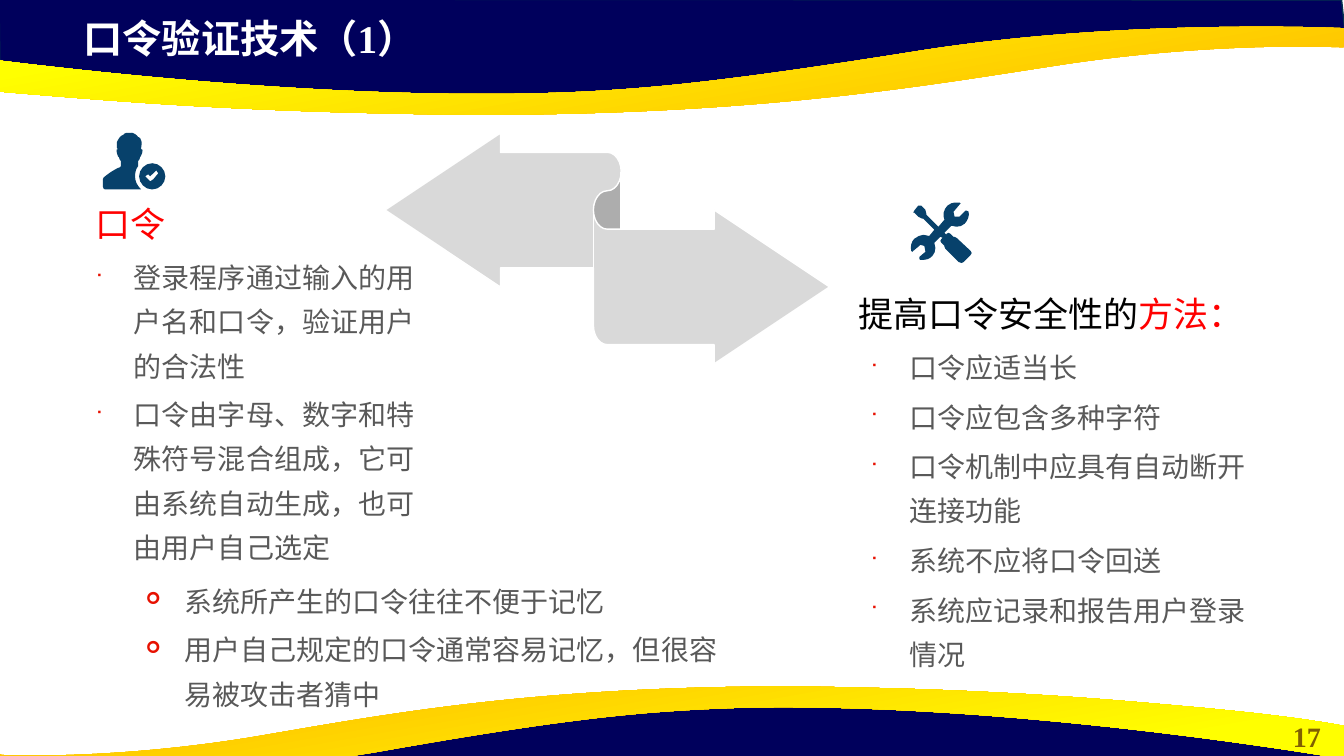
from lxml.etree import SubElement
from pptx import Presentation
from pptx.dml.color import RGBColor
from pptx.enum.shapes import MSO_SHAPE
from pptx.enum.text import MSO_ANCHOR, MSO_AUTO_SIZE, PP_ALIGN
from pptx.oxml.ns import qn
from pptx.util import Pt

PX = 9144
FONT = "Times New Roman"
NAVY = RGBColor(0x00, 0x00, 0x5C)
NAVY_EDGE = RGBColor(0x05, 0x30, 0x4F)
ORANGE = RGBColor(0xFF, 0xC0, 0x00)
YELLOW = RGBColor(0xFF, 0xFF, 0x00)
OLIVE = RGBColor(0x80, 0x60, 0x00)
ICON_BLUE = RGBColor(0x07, 0x41, 0x6B)
RIBBON_GREY = RGBColor(0xD9, 0xD9, 0xD9)
TEXT_GREY = RGBColor(0x59, 0x59, 0x59)
RED = RGBColor(0xFF, 0x00, 0x00)
BULLET_RED = RGBColor(0xE7, 0x11, 0x01)
WHITE = RGBColor(0xFF, 0xFF, 0xFF)
BLACK = RGBColor(0x00, 0x00, 0x00)

TOP_BAND = "M -1 -1 L 0 70 293 102 559 100 795 88 1016 50 1238 33 1335 38 1331 0"
BOTTOM_BAND = "M 1333 794 L 1332 724 1040 691 773 693 538 706 317 743 95 760 -3 756 1 793"
TOP_WAVE = """M 483 114 C 443 114 401 113 356 112 206 108 110 100 36 94 -88 84 -130 75 -133 75
    L -133 42 C -133 42 218 98 517 93 626 91 708 83 915 50 1121 18 1333 28 1333 28
    L 1333 47 1330 47 C 1305 46 1195 43 1055 64 918 85 762 113 483 114"""
BOTTOM_WAVE = """M 772 681 C 809 681 847 682 888 683 1025 687 1112 695 1179 701 1292 711 1330 720 1333 720
    L 1333 753 C 1333 753 1014 697 742 702 642 705 567 712 380 745 192 778 -1 768 -1 768
    L -1 748 2 749 C 25 750 125 752 252 731 376 710 519 682 772 681"""
USER_ICON = """M 155 169 L 149 175 147 173 144 175 147 178 149 180 152 178 157 172
    M 151 162 C 158 162 164 168 164 175 164 182 158 188 151 188 144 188 138 182 138 175
    138 168 144 162 151 162
    M 128 132 C 130 131 132 132 134 133 136 134 137 136 137 136 137 136 142 136 140 147
    L 140 148 C 141 148 142 148 141 152 140 155 139 156 139 156 139 157 138 159 137 160
    L 137 165 C 135 167 134 171 134 175 134 180 136 184 140 188
    L 104 188 C 103 188 102 186 102 185 L 102 180 C 102 178 102 177 103 176
    110 170 118 166 119 166 L 120 165 120 160 C 119 159 118 157 118 156
    117 156 117 155 116 152 115 148 116 148 117 148 L 116 147 C 116 145 116 143 116 141
    117 139 118 137 119 136 120 135 121 134 122 134 123 133 124 132 125 132 126 132 127 132 128 132"""
TOOLS_ICON = """M 963 249 L 949 236 947 235 946 235 943 232 941 231 939 232 939 233 937 231 944 224
    949 225 C 952 225 955 224 957 222 960 219 962 214 961 210
    L 959 209 958 209 952 215 947 215 946 210 947 209 952 203 953 202 952 201 949 201
    C 945 201 942 202 940 204 936 208 935 214 937 218
    L 931 225 919 213 919 212 918 208 914 204 913 204 911 204 907 209 906 211 907 211 911 215
    915 217 916 217 927 228 922 234 921 234 916 233 C 913 233 910 235 907 237 904 240 903 245 904 249
    L 905 250 906 249 912 244 913 243 917 244 918 249 918 250 912 255 912 257 913 258 916 258
    C 919 258 922 257 925 254 927 252 928 249 928 246
    L 927 241 928 240 933 235 935 236 934 237 933 239 934 241 937 244 937 245 938 247
    951 260 954 261 956 260 963 253 964 251"""


def read_outline(path):
    """Return the contours of a path in px and the command of each later point."""
    contours, commands, command, numbers = [], [], "", []
    for token in path.split():
        if token in "MLC":
            command = token
            continue
        numbers.append(int(token) * PX)
        if len(numbers) == 2:
            if command == "M":
                contours.append([])
            else:
                commands.append(command)
            contours[-1].append(tuple(numbers))
            numbers = []
    return contours, commands


def bend(shape, commands):
    """Join each three points of a curve command into one cubic segment."""
    segments = list(shape.element.iter(qn("a:lnTo")))
    curved = [segment for segment, command in zip(segments, commands) if command == "C"]
    for first, second, third in zip(curved[::3], curved[1::3], curved[2::3]):
        curve = first.makeelement(qn("a:cubicBezTo"))
        first.addprevious(curve)
        for segment in (first, second, third):
            curve.append(segment[0])
            segment.getparent().remove(segment)


class SlideBuilder:
    """Holds the style and the current slide and draws its elements."""

    def __init__(self, deck):
        self.page = deck.slides.add_slide(deck.slide_layouts[5])

    def outline(self, path, color=None, edge=None, angle=0):
        """Draw a closed outline with a plain fill or a yellow gradient."""
        contours, commands = read_outline(path)
        builder = self.page.shapes.build_freeform(*contours[0][0], scale=1.0)
        for index, points in enumerate(contours):
            if index:
                builder.move_to(*points[0])
            builder.add_line_segments(points[1:], close=True)
        shape = builder.convert_to_shape()
        bend(shape, commands)
        self.paint(shape, color, edge, angle)

    def paint(self, shape, color, edge, angle=0):
        """Set the fill and line of a shape and drop its shadow."""
        shape.shadow.inherit = False
        if color is None:
            shape.fill.gradient()
            shape.fill.gradient_angle = angle
            stops = zip(shape.fill.gradient_stops, (0.11, 0.78), (ORANGE, YELLOW))
            for stop, position, stop_color in stops:
                stop.position = position
                stop.color.rgb = stop_color
        else:
            shape.fill.solid()
            shape.fill.fore_color.rgb = color
        if edge is None:
            shape.line.fill.background()
        else:
            shape.line.color.rgb = edge
            shape.line.width = Pt(1)

    def ribbon(self, left, top, width, height):
        """Draw the two-way ribbon arrow."""
        shape = self.page.shapes.add_shape(
            MSO_SHAPE.LEFT_RIGHT_RIBBON, left * PX, top * PX, width * PX, height * PX)
        for index, value in enumerate((0.5, 0.5, 0.333)):
            shape.adjustments[index] = value
        self.paint(shape, RIBBON_GREY, WHITE)

    def span(self, para, text, size, color, bold=False):
        """Add one formatted run to a paragraph."""
        run = para.add_run()
        run.text = text
        font = run.font
        font.name, font.size, font.bold, font.color.rgb = FONT, Pt(size), bold, color

    def title(self, text, left, top, width, height):
        """Place and format the title above what is drawn so far."""
        box = self.page.shapes.title
        box.left, box.top, box.width, box.height = (n * PX for n in (left, top, width, height))
        frame = box.text_frame
        frame.auto_size = MSO_AUTO_SIZE.NONE
        frame.vertical_anchor = MSO_ANCHOR.MIDDLE
        frame.paragraphs[0].alignment = PP_ALIGN.LEFT
        self.span(frame.paragraphs[0], text, 28, WHITE, True)
        box.element.getparent().append(box.element)

    def text_box(self, left, top, width, height):
        """Add a wrapping text box and return its frame."""
        box = self.page.shapes.add_textbox(left * PX, top * PX, width * PX, height * PX)
        box.text_frame.word_wrap = True
        return box.text_frame

    def heading(self, frame, spans, spacing):
        """Write a heading in coloured spans as the first paragraph."""
        para = frame.paragraphs[0]
        para.line_spacing = spacing
        for text, color in spans:
            self.span(para, text, 25, color)

    def bullets(self, frame, items, mark, level, indent, before):
        """Write grey items with a small red bullet mark."""
        for item in items:
            first = not frame.text
            para = frame.paragraphs[0] if first else frame.add_paragraph()
            para.level = level
            properties = para._p.get_or_add_pPr()
            properties.set("marL", str(indent * PX))
            properties.set("indent", str(-38 * PX))
            color = SubElement(properties, qn("a:buClr"))
            SubElement(color, qn("a:srgbClr"), val=str(BULLET_RED))
            SubElement(properties, qn("a:buSzPct"), val="60000")
            SubElement(properties, qn("a:buFont"), typeface="Wingdings")
            SubElement(properties, qn("a:buChar"), char=mark)
            para.line_spacing = 1.32
            para.space_before = Pt(0 if first else before)
            self.span(para, item, 20, TEXT_GREY)


def main():
    """Build the slide on password verification."""
    deck = Presentation()
    deck.slide_width, deck.slide_height = 4000 * PX // 3, 750 * PX
    slide = SlideBuilder(deck)

    slide.outline(TOP_BAND, NAVY, NAVY_EDGE)
    slide.outline(TOP_WAVE, angle=100)
    slide.outline(BOTTOM_BAND, NAVY, NAVY_EDGE)
    slide.outline(BOTTOM_WAVE, angle=280)
    number = slide.text_box(1260, 709, 73, 44).paragraphs[0]
    number.alignment = PP_ALIGN.CENTER
    slide.span(number, "17", 20, OLIVE, True)
    slide.title("口令验证技术（1）", 73, 9, 768, 57)

    slide.outline(USER_ICON, ICON_BLUE)
    slide.outline(TOOLS_ICON, ICON_BLUE)
    slide.ribbon(382, 132, 441, 229)

    password = slide.text_box(85, 201, 357, 337)
    slide.heading(password, [("口令", RED)], 0.9)
    slide.bullets(password, [
        "登录程序通过输入的用户名和口令，验证用户的合法性",
        "口令由字母、数字和特殊符号混合组成，它可由系统自动生成，也可由用户自己选定",
    ], "■", 1, 38, 3)

    methods = slide.text_box(842, 272, 413, 447)
    slide.heading(methods, [("提高口令安全性的", BLACK), ("方法：", RED)], 1.32)
    slide.bullets(methods, [
        "口令应适当长",
        "口令应包含多种字符",
        "口令机制中应具有自动断开连接功能",
        "系统不应将口令回送",
        "系统应记录和报告用户登录情况",
    ], "■", 2, 50, 3.7)

    drawbacks = slide.text_box(85, 564, 653, 180)
    slide.bullets(drawbacks, [
        "系统所产生的口令往往不便于记忆",
        "用户自己规定的口令通常容易记忆，但很容易被攻击者猜中",
    ], "➢", 2, 88, 3)

    deck.save("out.pptx")


if __name__ == "__main__":
    main()
